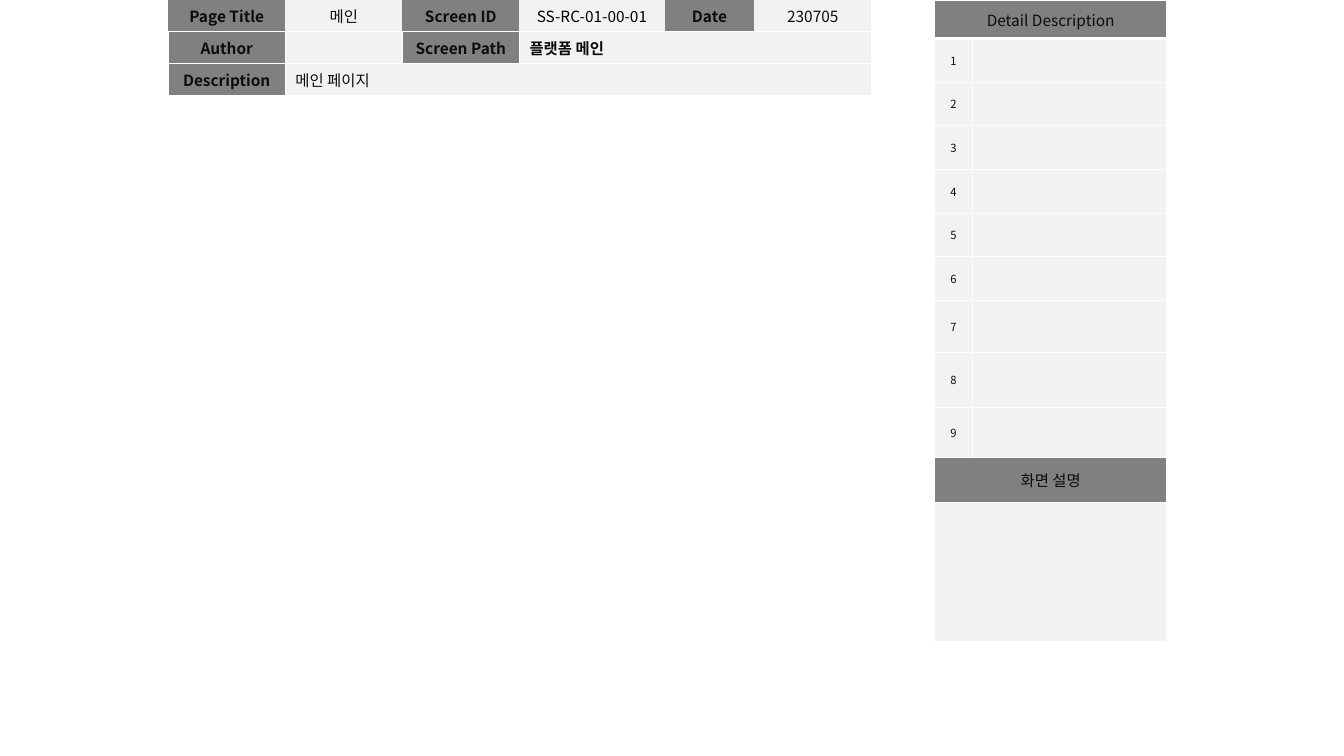
from dataclasses import dataclass

from lxml import etree
from pptx import Presentation
from pptx import util as u
from pptx.dml import color
from pptx.enum import text
from pptx.oxml import ns

FONT = "Noto Sans CJK KR"
HUES = {"head": "808080", "body": "F2F2F2", "ink": "0D0D0D",
        "black": "000000", "line": "FFFFFF"}
SIDES = ("L", "R", "T", "B")


@dataclass
class Box:
    """One table cell, with the columns it spans and its text style."""
    words: str = ""
    span: int = 1
    fill: str = "body"
    bold: bool = False
    left: bool = False
    size: int = 11
    ink: str = "ink"


@dataclass
class Grid:
    """One table: place, column widths and row heights in cm, and cells."""
    left: float
    cols: list[float]
    rows: list[float]
    cells: list[list[Box]]
    lines: dict[int, dict[str, int]]


def head(words: str, span: int = 1, bold: bool = True) -> Box:
    """Make a grey label cell."""
    return Box(words, span, fill="head", bold=bold)


def rgb(name: str) -> color.RGBColor:
    """Look up a colour by name."""
    return color.RGBColor.from_string(HUES[name])


def edge(cell, lines: dict[str, int]) -> None:
    """Draw the cell borders; a width of zero hides a side."""
    props = cell._tc.get_or_add_tcPr()
    for spot, side in enumerate(SIDES):
        width = lines.get(side, 1)
        line = etree.Element(ns.qn(f"a:ln{side}"), w=str(u.Pt(width)))
        if width:
            fill = etree.SubElement(line, ns.qn("a:solidFill"))
            etree.SubElement(fill, ns.qn("a:srgbClr"), val=HUES["line"])
        else:
            etree.SubElement(line, ns.qn("a:noFill"))
        props.insert(spot, line)


def write(cell, box: Box) -> None:
    """Put the text of a box in its cell and format it."""
    cell.vertical_anchor = text.MSO_ANCHOR.MIDDLE
    cell.margin_top = cell.margin_bottom = u.Cm(0.05)
    cell.text_frame.text = box.words
    para = cell.text_frame.paragraphs[0]
    para.alignment = text.PP_ALIGN.LEFT if box.left else text.PP_ALIGN.CENTER
    for run in para.runs:
        font = run.font
        font.name, font.size, font.bold = FONT, u.Pt(box.size), box.bold
        font.color.rgb = rgb(box.ink)
        etree.SubElement(run._r.get_or_add_rPr(), ns.qn("a:ea"), typeface=FONT)
    if not box.words:
        etree.SubElement(para._p, ns.qn("a:endParaRPr"), sz=str(box.size * 100))


def draw(slide, grid: Grid) -> None:
    """Add one table to the slide."""
    table = slide.shapes.add_table(
        len(grid.rows), len(grid.cols), u.Cm(grid.left), u.Cm(0),
        u.Cm(sum(grid.cols)), u.Cm(sum(grid.rows))).table
    table.first_row = table.horz_banding = False
    for col, width in zip(table.columns, grid.cols):
        col.width = u.Cm(width)
    for row, height in zip(table.rows, grid.rows):
        row.height = u.Cm(height)
    for y, boxes in enumerate(grid.cells):
        x = 0
        for box in boxes:
            for step in range(box.span):
                cell = table.cell(y, x + step)
                cell.fill.solid()
                cell.fill.fore_color.rgb = rgb(box.fill)
                edge(cell, grid.lines.get(y, {}))
            first = table.cell(y, x)
            if box.span > 1:
                first.merge(table.cell(y, x + box.span - 1))
            write(first, box)
            x += box.span


INFO = Grid(
    left=4.24,
    cols=[2.95, 2.95, 2.95, 3.66, 2.26, 2.95],
    rows=[0.8, 0.81, 0.81],
    cells=[
        [head("Page Title"), Box("메인"), head("Screen ID"),
         Box("SS-RC-01-00-01", ink="black"), head("Date"), Box("230705")],
        [head("Author"), Box(), head("Screen Path"),
         Box("플랫폼 메인", 3, bold=True, left=True)],
        [head("Description"), Box("메인 페이지", 5, left=True)],
    ],
    lines={0: {"L": 0, "R": 0, "T": 0}},
)
NOTES = Grid(
    left=23.55,
    cols=[0.96, 4.9],
    rows=[0.97] + [1.1] * 6 + [1.32, 1.37, 1.27, 1.14, 3.51],
    cells=[
        [head("Detail Description", 2, bold=False)],
        *[[Box(str(n), size=8), Box(size=8)] for n in range(1, 10)],
        [head("화면 설명", 2, bold=False)],
        [Box(span=2)],
    ],
    lines={0: {"B": 3}, 1: {"T": 3}},
)

deck = Presentation()
deck.slide_width, deck.slide_height = u.Cm(33.87), u.Cm(19.05)
page = deck.slides.add_slide(deck.slide_layouts[6])
for grid in (INFO, NOTES):
    draw(page, grid)
deck.save("out.pptx")
